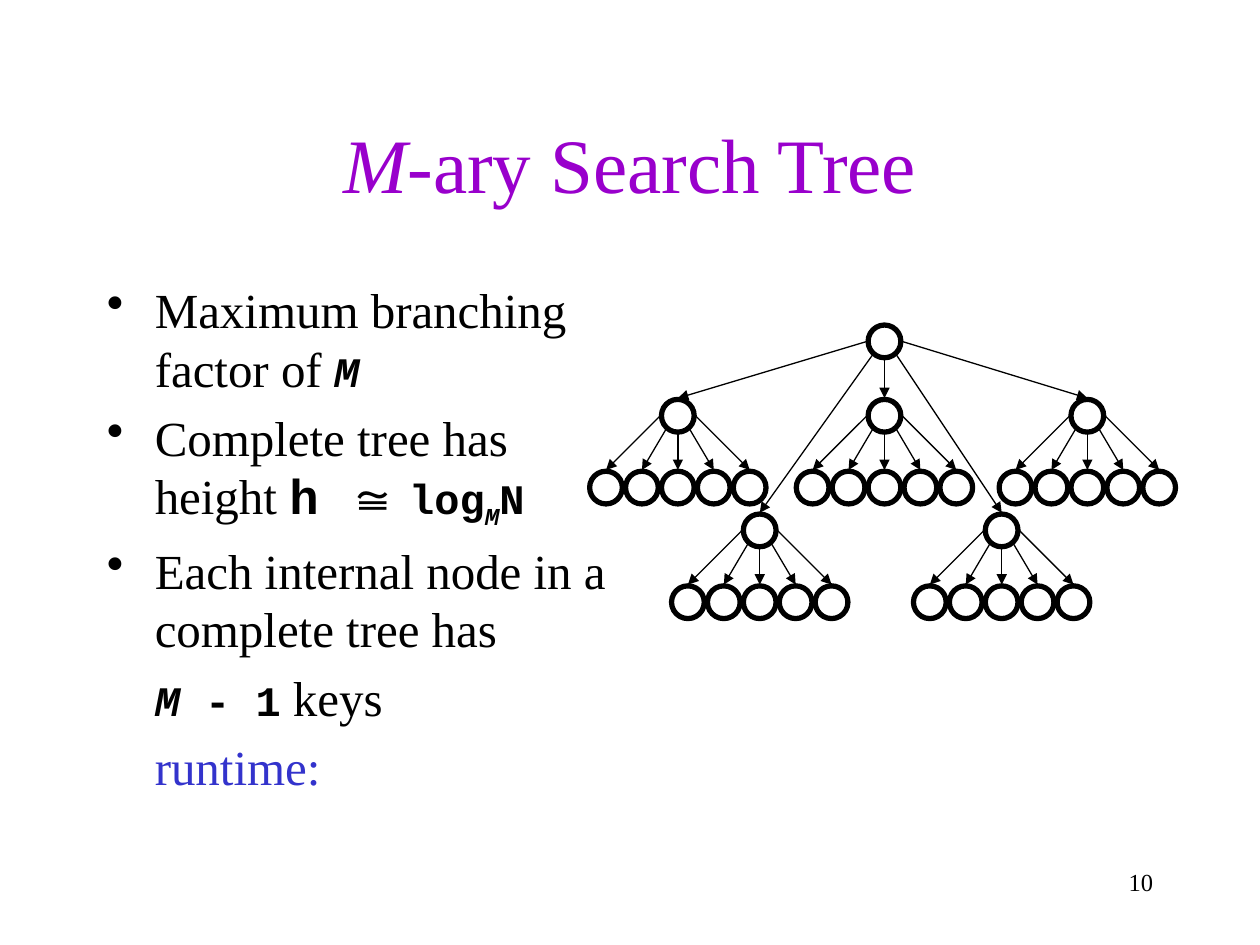
from typing import Any, NamedTuple

import pptx
import pptx.dml.color
import pptx.enum.shapes
import pptx.enum.text
import pptx.oxml
import pptx.oxml.ns
import pptx.util
from pptx.util import Inches

SERIF = "Times New Roman"
MONO = "Courier New"
BLACK = "000000"
NODE_SIZE = 0.26
LEAF_STEP = 0.285
LEAF_DROP = 0.57
ARROW_GAP = 0.14
# Arrow starts, measured from the centre of the parent node
ARROW_STARTS = [(-0.14, 0), (-0.09, 0.1), (0, 0.14), (0.09, 0.1), (0.14, 0)]


class Node(NamedTuple):
    x: float
    y: float


class Run(NamedTuple):
    text: str
    font: dict[str, Any] = {}
    color: str = BLACK
    baseline: int = 0


class Item(NamedTuple):
    runs: list[Run]
    bullet: bool = True


def color_of(value: str) -> pptx.dml.color.RGBColor:
    return pptx.dml.color.RGBColor.from_string(value)


def add_runs(paragraph: Any, runs: list[Run], size: float) -> None:
    for item in runs:
        run = paragraph.add_run()
        run.text = item.text
        values = {"name": SERIF, "size": size, "bold": False, "italic": False} | item.font
        values["size"] = pptx.util.Pt(values["size"])
        for name, value in values.items():
            setattr(run.font, name, value)
        run.font.color.rgb = color_of(item.color)
        if item.baseline:
            run.font._element.set("baseline", str(item.baseline * 1000))


def add_node(shapes: Any, node: Node) -> None:
    half = NODE_SIZE / 2
    shape = shapes.add_shape(
        pptx.enum.shapes.MSO_SHAPE.OVAL,
        Inches(node.x - half), Inches(node.y - half), Inches(NODE_SIZE), Inches(NODE_SIZE),
    )
    shape.shadow.inherit = False
    shape.fill.background()
    shape.line.color.rgb = color_of(BLACK)
    shape.line.width = pptx.util.Pt(3)


def add_arrow(shapes: Any, start: Node, end: Node) -> None:
    connector = shapes.add_connector(
        pptx.enum.shapes.MSO_CONNECTOR.STRAIGHT,
        Inches(start.x), Inches(start.y), Inches(end.x), Inches(end.y),
    )
    connector.line.color.rgb = color_of(BLACK)
    connector.line.width = pptx.util.Pt(0.75)
    tail = pptx.oxml.ns.qn("a:tailEnd")
    connector.line._get_or_add_ln().append(
        pptx.oxml.parse_xml(f'<a:tailEnd {pptx.oxml.ns.nsdecls("a")} type="triangle"/>')
    )
    connector._element.spPr.append(
        pptx.oxml.parse_xml(f'<a:effectLst {pptx.oxml.ns.nsdecls("a")}/>')
    )


def add_branches(shapes: Any, parent: Node, children: list[Node]) -> None:
    for (dx, dy), child in zip(ARROW_STARTS, children):
        start = Node(parent.x + dx, parent.y + dy)
        add_arrow(shapes, start, Node(child.x, child.y - ARROW_GAP))


def add_subtree(shapes: Any, parent: Node) -> None:
    group = shapes.add_group_shape()
    leaves = [Node(parent.x + step * LEAF_STEP, parent.y + LEAF_DROP) for step in range(-2, 3)]
    for node in [parent, *leaves]:
        add_node(group.shapes, node)
    add_branches(group.shapes, parent, leaves)


def add_text_frame(shapes: Any, left: float, top: float, width: float, height: float) -> Any:
    box = shapes.add_textbox(Inches(left), Inches(top), Inches(width), Inches(height))
    box.text_frame.word_wrap = True
    return box.text_frame


presentation = pptx.Presentation()
presentation.slide_width = Inches(10)
presentation.slide_height = Inches(7.5)
slide = presentation.slides.add_slide(presentation.slide_layouts[5])

# Title
title = slide.shapes.title
place = {"left": 0.75, "top": 0.67, "width": 8.5, "height": 1.25}
for name, value in place.items():
    setattr(title, name, Inches(value))
title.text_frame.auto_size = pptx.enum.text.MSO_AUTO_SIZE.NONE
title.text_frame.vertical_anchor = pptx.enum.text.MSO_ANCHOR.MIDDLE
title_paragraph = title.text_frame.paragraphs[0]
title_paragraph.alignment = pptx.enum.text.PP_ALIGN.CENTER
add_runs(
    title_paragraph,
    [Run("M", {"italic": True}, "9900CC"), Run("-ary Search Tree", color="9900CC")],
    44,
)

# Bulleted text
code = {"name": MONO, "size": 24, "bold": True}
code_italic = code | {"italic": True}
items = [
    Item([Run("Maximum branching factor of "), Run("M", code_italic)]),
    Item([
        Run("Complete tree has height "),
        Run("h ", code | {"size": 28}),
        Run("≅ "),
        Run("log", code),
        Run("M", code_italic, baseline=-25),
        Run("N", code),
    ]),
    Item([Run("Each internal node in a complete tree has ")]),
    Item([Run("M ", code_italic), Run("- 1", code), Run(" keys")], bullet=False),
    Item([Run("runtime:", color="3333CC")], bullet=False),
]
body = add_text_frame(slide.shapes, 0.75, 2.17, 4.25, 4.5)
for index, item in enumerate(items):
    paragraph = body.add_paragraph() if index else body.paragraphs[0]
    paragraph.space_before = pptx.util.Pt(5.6)
    properties = paragraph._p.get_or_add_pPr()
    properties.set("marL", str(Inches(0.38)))
    properties.set("indent", str(Inches(-0.38) if item.bullet else 0))
    if item.bullet:
        properties.append(
            pptx.oxml.parse_xml(f'<a:buChar {pptx.oxml.ns.nsdecls("a")} char="•"/>')
        )
    add_runs(paragraph, item.runs, 28)

# Tree: five subtrees from left to right, then the root
subtrees = [Node(5.38, 3.3), Node(6.03, 4.21), Node(7.02, 3.3), Node(7.95, 4.21), Node(8.63, 3.3)]
root = Node(7.02, 2.71)
for subtree in subtrees:
    add_subtree(slide.shapes, subtree)
add_node(slide.shapes, root)
add_branches(slide.shapes, root, subtrees)

# Slide number
number = add_text_frame(slide.shapes, 7.17, 6.83, 2.08, 0.5).paragraphs[0]
number.alignment = pptx.enum.text.PP_ALIGN.RIGHT
add_runs(number, [Run("10")], 14)

presentation.save("out.pptx")
